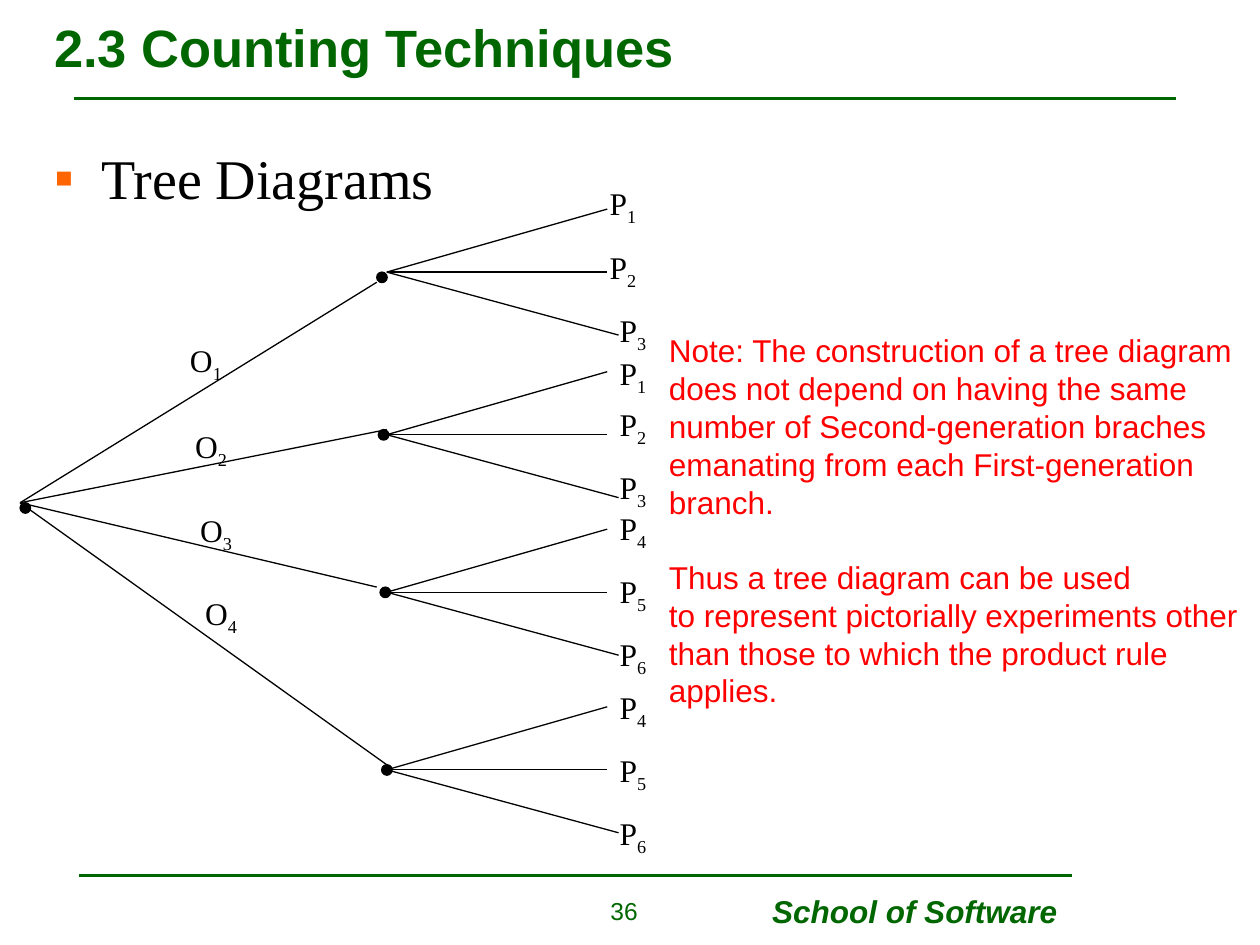
from lxml import etree
from pptx import Presentation
from pptx.dml.color import RGBColor
from pptx.enum.shapes import MSO_CONNECTOR, MSO_SHAPE
from pptx.enum.text import MSO_ANCHOR, PP_ALIGN
from pptx.oxml.ns import qn
from pptx.util import Pt

GREEN = RGBColor(0x00, 0x66, 0x00)
ORANGE = RGBColor(0xFF, 0x66, 0x00)
RED = RGBColor(0xFF, 0x00, 0x00)
BLACK = RGBColor(0x00, 0x00, 0x00)
STRAIGHT = MSO_CONNECTOR.STRAIGHT
OVAL = MSO_SHAPE.OVAL
TOP, MIDDLE = MSO_ANCHOR.TOP, MSO_ANCHOR.MIDDLE
LEFT, RIGHT = PP_ALIGN.LEFT, PP_ALIGN.RIGHT
SANS, SERIF = "Arial", "Times New Roman"

# Tree geometry
ROOT = (11.5, 287.3)
DOT_SIZE = 6
FORK_X, LEAF_X, LAST_LEAF_X = 221, 347, 353.5
LEAF_SPREAD = 36
LABEL_SIZE = (36, 31.7)

# Each limb: label top, limb end, dot corner, fork height
LIMBS = [
    (191.5, (215.3, 161.3), (215.3, 155.5), 155.5),
    (240.5, (221, 245.5), (216.2, 245.5), 248.4),
    (288.7, (215.3, 335.5), (217.2, 335.5), 338.4),
    (336.2, (221, 437), (218.1, 437), 439.9),
]
# Leaves of each limb: subscript, label left, label top
LEAVES = [
    [("1", 341.3, 101.5), ("2", 341.3, 138.2), ("3", 347, 174.2)],
    [("1", 347, 198.7), ("2", 347, 228.2), ("3", 347, 264.2)],
    [("4", 347, 287.3), ("5", 347, 323.3), ("6", 347, 359.3)],
    [("4", 347, 389.5), ("5", 347, 425.5), ("6", 347, 461.5)],
]

NOTE = [
    ["Note: The construction of a tree diagram",
     "does not depend on having the same",
     "number of Second-generation braches",
     "emanating from each First-generation",
     "branch."],
    ["Thus a tree diagram can be used",
     "to represent pictorially experiments other",
     "than those to which the product rule",
     "applies."],
]


def add_run(paragraph, text, *, size=18, font=SANS, color=BLACK,
            bold=False, italic=False, baseline=None):
    run = paragraph.add_run()
    run.text = text
    run.font.size = Pt(size)
    run.font.name = font
    run.font.color.rgb = color
    run.font.bold = bold
    run.font.italic = italic
    if baseline is not None:
        run.font._element.set("baseline", str(baseline))


class TreeSlide:
    def __init__(self, slide):
        self.slide = slide

    def line(self, start, end, color=BLACK, width=0.75):
        points = [Pt(value) for value in (*start, *end)]
        connector = self.slide.shapes.add_connector(STRAIGHT, *points)
        connector.line.color.rgb = color
        connector.line.width = Pt(width)
        properties = connector._element.spPr
        etree.SubElement(properties, qn("a:effectLst"))

    def dot(self, left, top):
        shape = self.slide.shapes.add_shape(
            OVAL, Pt(left), Pt(top), Pt(DOT_SIZE), Pt(DOT_SIZE))
        shape.shadow.inherit = False
        shape.fill.solid()
        shape.fill.fore_color.rgb = BLACK
        shape.line.color.rgb = BLACK
        shape.line.width = Pt(0.75)

    def box(self, left, top, width, height, wrap=True, anchor=TOP):
        shape = self.slide.shapes.add_textbox(
            Pt(left), Pt(top), Pt(width), Pt(height))
        frame = shape.text_frame
        frame.word_wrap = wrap
        frame.vertical_anchor = anchor
        if not wrap:
            # Spare room keeps each line whole
            frame.margin_right = Pt(0)
        return frame

    def text(self, text, *bounds, wrap=True, anchor=TOP, align=LEFT, **style):
        paragraph = self.box(*bounds, wrap=wrap, anchor=anchor).paragraphs[0]
        paragraph.alignment = align
        add_run(paragraph, text, **style)
        return paragraph

    def bullet(self, text, *bounds, indent=27, **style):
        paragraph = self.text(text, *bounds, **style)
        properties = paragraph._p.get_or_add_pPr()
        properties.set("marL", str(Pt(indent)))
        properties.set("indent", str(-Pt(indent)))
        color = etree.SubElement(properties, qn("a:buClr"))
        etree.SubElement(color, qn("a:srgbClr"), val=str(ORANGE))
        etree.SubElement(properties, qn("a:buFont"), typeface=SANS)
        etree.SubElement(properties, qn("a:buChar"), char="▪")

    def label(self, letter, subscript, left, top):
        paragraph = self.text(letter, left, top, *LABEL_SIZE, font=SERIF)
        add_run(paragraph, subscript, font=SERIF, baseline=-25000)

    def note(self, blocks, *bounds):
        frame = self.box(*bounds, wrap=False)
        paragraph = frame.paragraphs[0]
        for block_index, block in enumerate(blocks):
            for line_index, text in enumerate(block):
                if block_index or line_index:
                    paragraph = frame.add_paragraph()
                if block_index and not line_index:
                    paragraph.space_before = Pt(21.5)
                add_run(paragraph, text, color=RED)

    def fork(self, y):
        self.line((FORK_X, y), (LEAF_X, y))
        self.line((FORK_X, y), (LEAF_X, y - LEAF_SPREAD))
        self.line((FORK_X, y), (LAST_LEAF_X, y + LEAF_SPREAD))


def main():
    presentation = Presentation()
    presentation.slide_width = Pt(720)
    presentation.slide_height = Pt(540)
    page = TreeSlide(presentation.slides.add_slide(presentation.slide_layouts[6]))

    # Rules and footer
    page.line((42.5, 56.2), (671.8, 56.2), GREEN, 1.5)
    page.line((45.4, 500.4), (612.7, 500.4), GREEN, 1.5)
    page.text("School of Software", 434.2, 506.2, 177.1, 28.8, wrap=False,
              color=GREEN, bold=True, italic=True)
    page.text("36", 298.1, 508.3, 73.4, 25.9, align=RIGHT, size=14, color=GREEN)

    # Heading and topic
    page.bullet("Tree Diagrams", 23.8, 78.5, 672.5, 416.2, size=32, font=SERIF)
    page.text("2.3 Counting Techniques", 23.8, 2.2, 672.5, 49, anchor=MIDDLE,
              size=30, color=GREEN, bold=True)

    # Tree
    page.dot(*ROOT)
    for index, (label_top, limb_end, dot_corner, fork_y) in enumerate(LIMBS):
        page.dot(*dot_corner)
        page.line(ROOT, limb_end)
        page.fork(fork_y)
        page.label("O", str(index + 1), 101.5 + 2.9 * index, label_top)
        for subscript, left, top in LEAVES[index]:
            page.label("P", subscript, left, top)

    # Remark
    page.note(NOTE, 375.1, 185.8, 339.1, 223.2)

    presentation.save("out.pptx")


if __name__ == "__main__":
    main()
